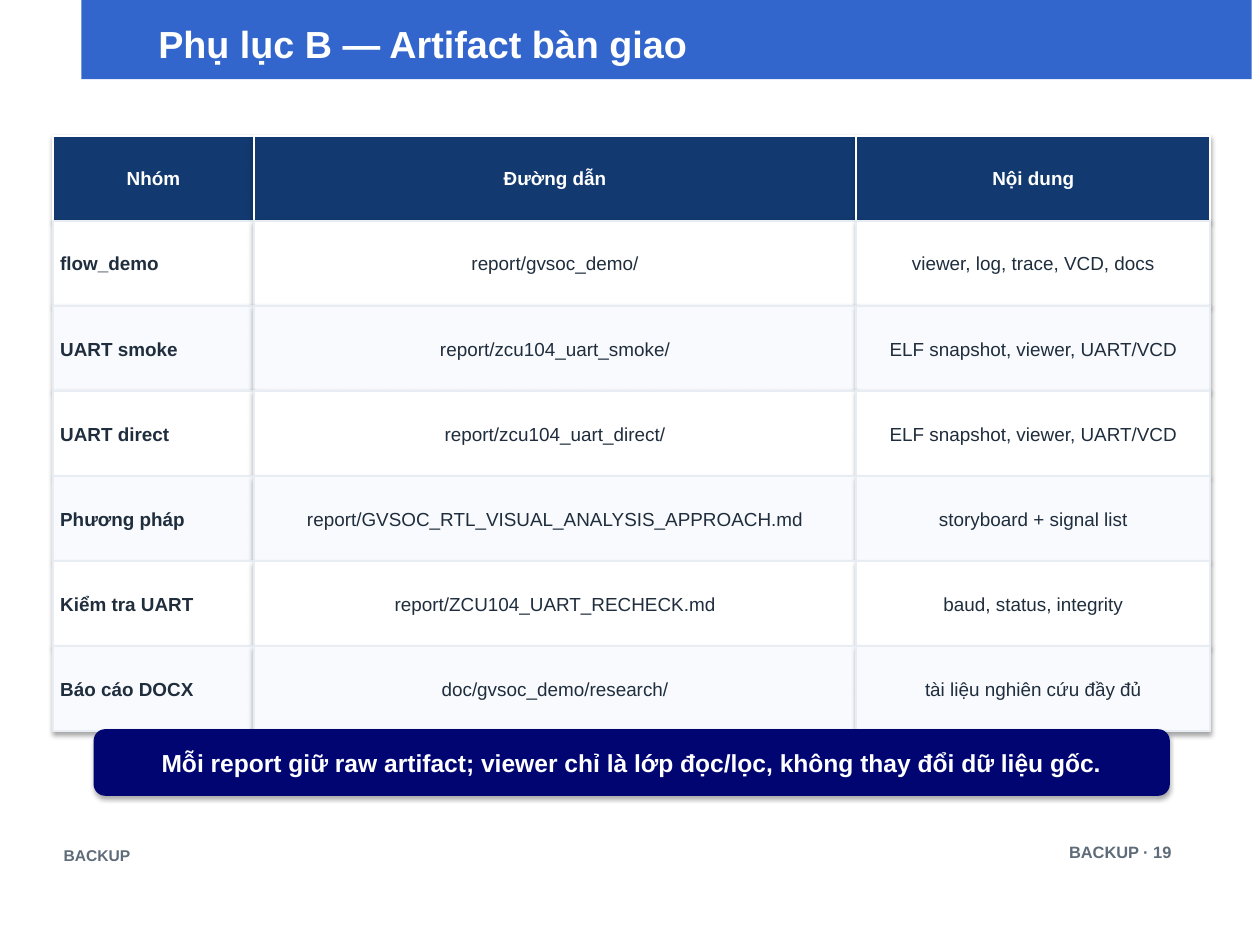
from itertools import accumulate

from lxml import etree
from pptx import Presentation, util as u
from pptx.dml.color import RGBColor
from pptx.enum import shapes, text
from pptx.oxml.ns import qn

# Content
TITLE = "Phụ lục B — Artifact bàn giao"
HEAD = ("Nhóm", "Đường dẫn", "Nội dung")
ROWS = [
    ("flow_demo", "report/gvsoc_demo/", "viewer, log, trace, VCD, docs"),
    ("UART smoke", "report/zcu104_uart_smoke/", "ELF snapshot, viewer, UART/VCD"),
    ("UART direct", "report/zcu104_uart_direct/", "ELF snapshot, viewer, UART/VCD"),
    ("Phương pháp", "report/GVSOC_RTL_VISUAL_ANALYSIS_APPROACH.md", "storyboard + signal list"),
    ("Kiểm tra UART", "report/ZCU104_UART_RECHECK.md", "baud, status, integrity"),
    ("Báo cáo DOCX", "doc/gvsoc_demo/research/", "tài liệu nghiên cứu đầy đủ"),
]
NOTE = "Mỗi report giữ raw artifact; viewer chỉ là lớp đọc/lọc, không thay đổi dữ liệu gốc."
FOOT = ("BACKUP", "BACKUP · 19")

# Layout and colours
X, Y, ROW_H = 0.45, 1.15, 0.72
WIDTHS = (1.7, 5.1, 3)
BLUE, DARK, NAVY = "3366CC", "123A70", "000572"
WHITE, PALE, EDGE = "FFFFFF", "F8FAFD", "E8EDF3"
INK, GREY = "1F2D3D", "5E6B78"
LEFT, MID, RIGHT = text.PP_ALIGN.LEFT, text.PP_ALIGN.CENTER, text.PP_ALIGN.RIGHT
RECT, ROUND = shapes.MSO_SHAPE.RECTANGLE, shapes.MSO_SHAPE.ROUNDED_RECTANGLE


def color(hexa):
    return RGBColor.from_string(hexa)


def write(frame, gap, words, size, tint, bold=True, align=LEFT):
    frame.margin_left = frame.margin_right = u.Inches(gap)
    frame.margin_top = frame.margin_bottom = u.Inches(gap)
    frame.text = words
    para = frame.paragraphs[0]
    para.alignment = align
    font = para.runs[0].font
    font.name, font.size, font.bold = "Arial", u.Pt(size), bold
    font.color.rgb = color(tint)


def shade(shape):
    """Give a shape a soft shadow that falls straight down."""
    effects = shape._element.spPr.find(qn("a:effectLst"))
    outer = etree.SubElement(effects, qn("a:outerShdw"), blurRad="40000",
                             dist="23000", dir="5400000", rotWithShape="0")
    black = etree.SubElement(outer, qn("a:srgbClr"), val="000000")
    etree.SubElement(black, qn("a:alpha"), val="35000")


def block(kind, spot, tint):
    shape = slide.shapes.add_shape(kind, *map(u.Inches, spot))
    shape.shadow.inherit = False
    shape.fill.solid()
    shape.fill.fore_color.rgb = color(tint)
    shape.line.fill.background()
    return shape


def card(kind, spot, back, edge, *words, **style):
    """Draw a shaded, outlined block with text in its middle."""
    shape = block(kind, spot, back)
    shape.line.color.rgb = color(edge)
    shape.line.width = u.Pt(1)
    shade(shape)
    frame = shape.text_frame
    frame.word_wrap = True
    frame.vertical_anchor = text.MSO_ANCHOR.MIDDLE
    write(frame, *words, **style)


def label(spot, *words, **style):
    frame = slide.shapes.add_textbox(*map(u.Inches, spot)).text_frame
    frame.word_wrap = False
    write(frame, *words, **style)
    return frame


deck = Presentation()
deck.slide_width, deck.slide_height = u.Inches(10.67), u.Inches(8)
slide = deck.slides.add_slide(deck.slide_layouts[6])

# Title band
block(RECT, (0.69, 0, 9.91, 0.67), BLUE)
title = label((1.32, 0.09, 8.55, 0.56), 0.02, TITLE, 23, WHITE)
title.vertical_anchor = text.MSO_ANCHOR.MIDDLE

# Footer
for words, spot, size, align in (
    (FOOT[0], (0.46, 7.08, 4.5, 0.23), 9.5, LEFT),
    (FOOT[1], (8.9, 7.05, 1.1, 0.28), 10, RIGHT),
):
    foot = label(spot, 0.08, words, size, GREY, align=align)
    foot.auto_size = text.MSO_AUTO_SIZE.SHAPE_TO_FIT_TEXT

# Grid of shaded cells
lefts = list(accumulate(WIDTHS, initial=X))
for r, line in enumerate([HEAD] + ROWS):
    top = r == 0
    back = DARK if top else (WHITE if r % 2 else PALE)
    edge, tint, gap = (WHITE, WHITE, 0.04) if top else (EDGE, INK, 0.06)
    for c, words in enumerate(line):
        spot = (lefts[c], Y + r * ROW_H, WIDTHS[c], ROW_H)
        card(RECT, spot, back, edge, gap, words, 11.5, tint,
             bold=top or c == 0, align=MID if top or c else LEFT)

# Closing note
card(ROUND, (0.8, 6.18, 9.1, 0.55), NAVY, NAVY, 0.08, NOTE, 15, WHITE, align=MID)

deck.save("out.pptx")
